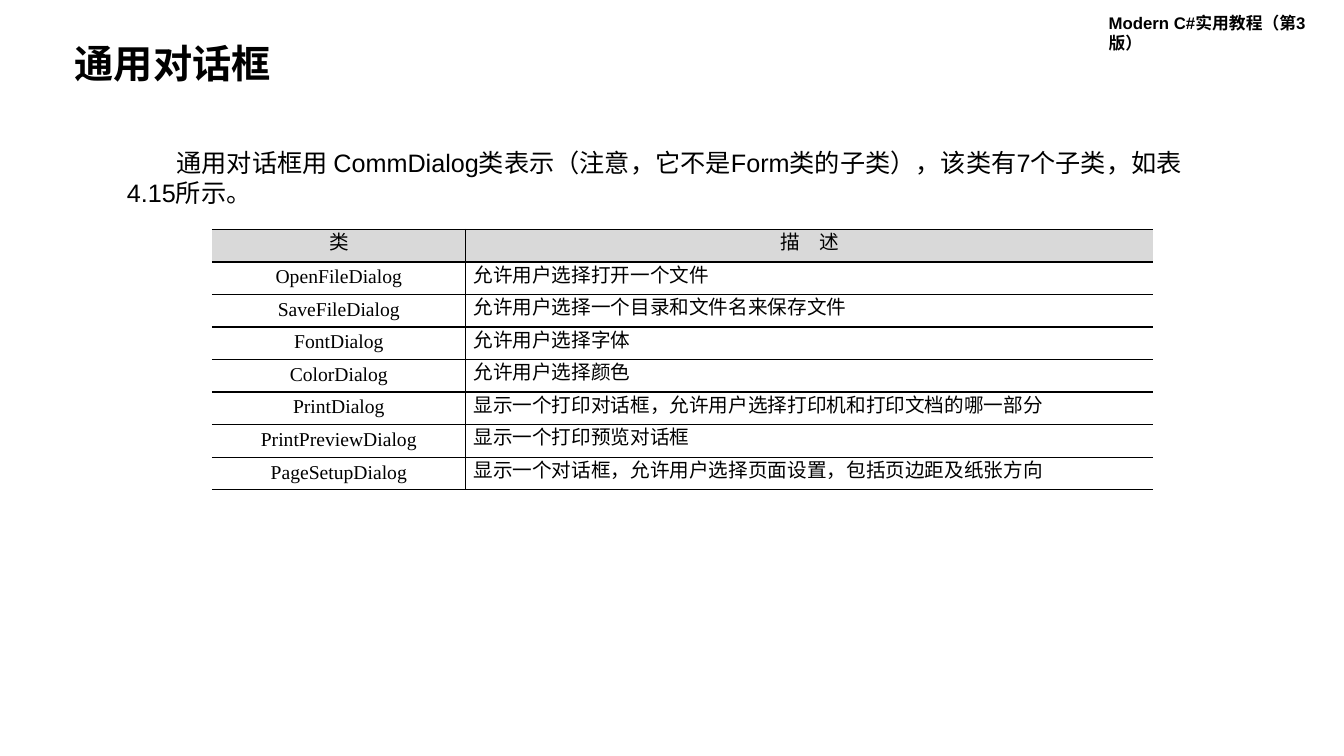
from dataclasses import dataclass

from lxml.etree import SubElement
from pptx import Presentation
from pptx.dml.color import RGBColor
from pptx.enum.text import MSO_ANCHOR, MSO_AUTO_SIZE, PP_ALIGN
from pptx.oxml.ns import qn
from pptx.util import Cm, Pt


@dataclass(frozen=True)
class Theme:
    ink: str = "000000"
    header_fill: str = "D9D9D9"
    sans: str = "Arial"
    serif: str = "Times New Roman"
    title_size: int = 28
    body_size: int = 18
    table_size: int = 14
    label_size: int = 12
    border: float = 1


THEME = Theme()

BOOK = "Modern C#实用教程（第3版）"
TITLE = "通用对话框"
INTRO = ("通用对话框用 CommDialog类表示（注意，它不是Form类的子类），"
         "该类有7个子类，如表4.15所示。")
DIALOGS = [
    ("类", "描　述"),
    ("OpenFileDialog", "允许用户选择打开一个文件"),
    ("SaveFileDialog", "允许用户选择一个目录和文件名来保存文件"),
    ("FontDialog", "允许用户选择字体"),
    ("ColorDialog", "允许用户选择颜色"),
    ("PrintDialog", "显示一个打印对话框，允许用户选择打印机和打印文档的哪一部分"),
    ("PrintPreviewDialog", "显示一个打印预览对话框"),
    ("PageSetupDialog", "显示一个对话框，允许用户选择页面设置，包括页边距及纸张方向"),
]


def apply(target, formats):
    for name, value in formats.items():
        setattr(target, name, value)


def write(tf, text, size, font=THEME.sans, bold=False, **paragraph):
    p = tf.paragraphs[0]
    apply(p, paragraph)
    r = p.add_run()
    r.text = text
    apply(r.font, {"size": Pt(size), "name": font, "bold": bold})
    r.font.color.rgb = RGBColor.from_string(THEME.ink)
    return p


def add_title(s, text, box):
    sp = s.shapes.title
    apply(sp, dict(zip(("left", "top", "width", "height"), box)))
    apply(sp.text_frame, {"word_wrap": True, "auto_size": MSO_AUTO_SIZE.NONE,
                          "vertical_anchor": MSO_ANCHOR.MIDDLE})
    write(sp.text_frame, text, THEME.title_size, bold=True,
          alignment=PP_ALIGN.LEFT, line_spacing=0.9)


def add_text(s, text, box, size, bold=False, indent=None):
    tf = s.shapes.add_textbox(*box).text_frame
    apply(tf, {"word_wrap": True, "auto_size": MSO_AUTO_SIZE.SHAPE_TO_FIT_TEXT})
    p = write(tf, text, size, bold=bold)
    if indent:
        p._p.get_or_add_pPr().set("indent", str(indent))


def set_borders(cell, sides):
    # Border lines come before the fill in the cell properties
    tcPr = cell._tc.get_or_add_tcPr()
    for side in ("L", "R", "T", "B"):
        ln = SubElement(tcPr, qn(f"a:ln{side}"), w=str(Pt(THEME.border)))
        if side in sides:
            fill = SubElement(ln, qn("a:solidFill"))
            SubElement(fill, qn("a:srgbClr"), val=THEME.ink)
        else:
            SubElement(ln, qn("a:noFill"))


def fill_cell(cell, text, centred, header, sides):
    apply(cell, {"margin_left": Cm(0.19), "margin_right": Cm(0.19),
                 "margin_top": 0, "margin_bottom": 0,
                 "vertical_anchor": MSO_ANCHOR.MIDDLE})
    set_borders(cell, sides)
    if header:
        cell.fill.solid()
        cell.fill.fore_color.rgb = RGBColor.from_string(THEME.header_fill)
    else:
        cell.fill.background()
    write(cell.text_frame, text, THEME.table_size, font=THEME.serif,
          alignment=PP_ALIGN.CENTER if centred else PP_ALIGN.JUSTIFY,
          line_spacing=Pt(THEME.table_size))


def add_dialog_table(s, rows, left, top, widths, row_height):
    table = s.shapes.add_table(len(rows), len(widths), left, top,
                               sum(widths), row_height * len(rows)).table
    apply(table, {"first_row": False, "horz_banding": False})
    for column, width in zip(table.columns, widths):
        column.width = width
    for i, row in enumerate(rows):
        table.rows[i].height = row_height
        for j, text in enumerate(row):
            fill_cell(table.cell(i, j), text, centred=i == 0 or j == 0,
                      header=i == 0, sides="RTB" if j == 0 else "LTB")


def main():
    prs = Presentation()
    apply(prs, {"slide_width": Cm(33.87), "slide_height": Cm(19.05)})
    s = prs.slides.add_slide(prs.slide_layouts[5])

    # Book label and heading
    add_text(s, BOOK, (Cm(27.69), Cm(0.2), Cm(6.2), Cm(0.76)),
             THEME.label_size, bold=True)
    add_title(s, TITLE, (Cm(1.63), Cm(0.99), Cm(16.1), Cm(1.32)))

    # Introduction and table of dialog classes
    add_text(s, INTRO, (Cm(2.95), Cm(3.58), Cm(27.74), Cm(1.8)),
             THEME.body_size, indent=Cm(1.25))
    add_dialog_table(s, DIALOGS, Cm(5.34), Cm(5.78),
                     (Cm(6.4), Cm(17.32)), Cm(0.82))

    prs.save("out.pptx")


if __name__ == "__main__":
    main()
